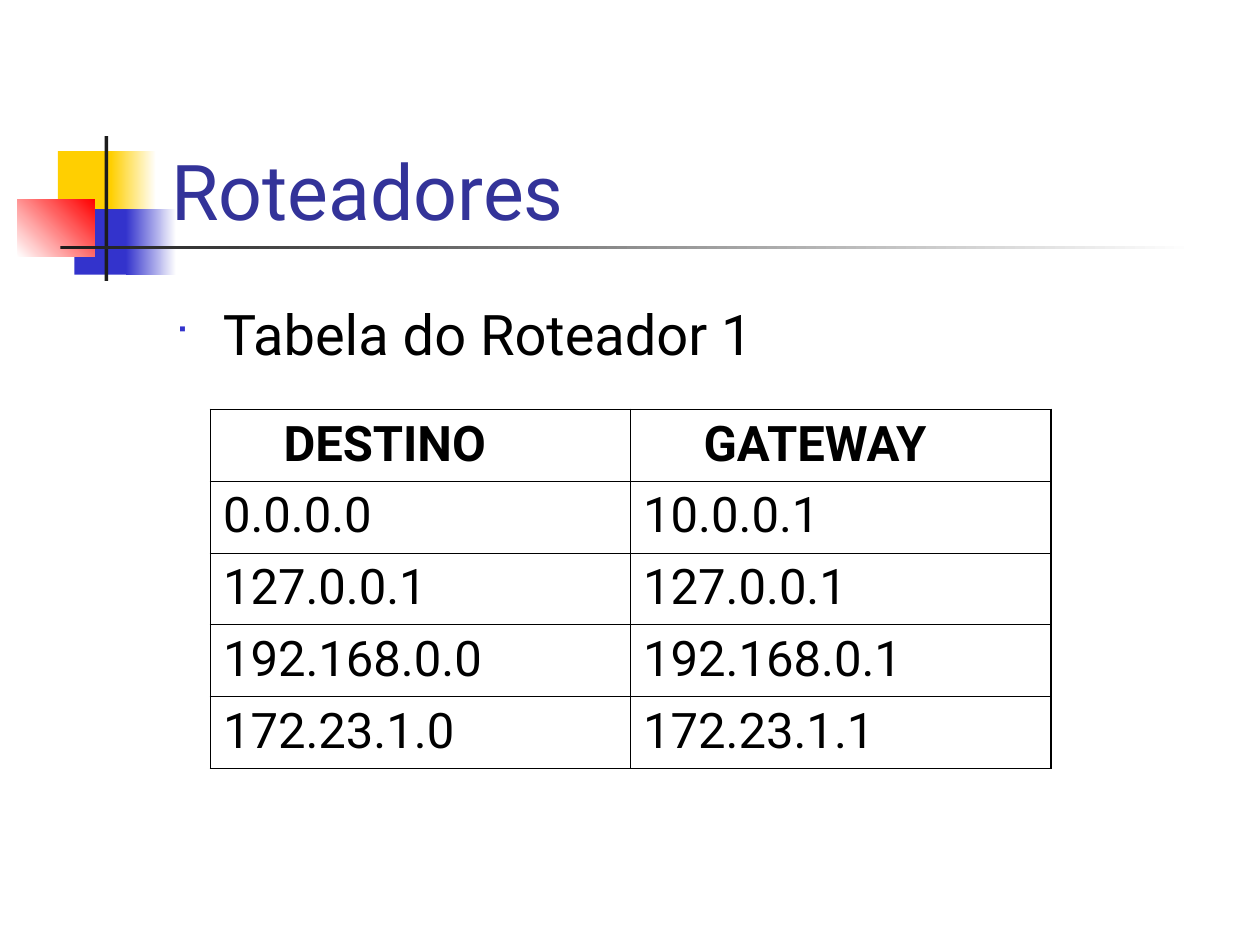
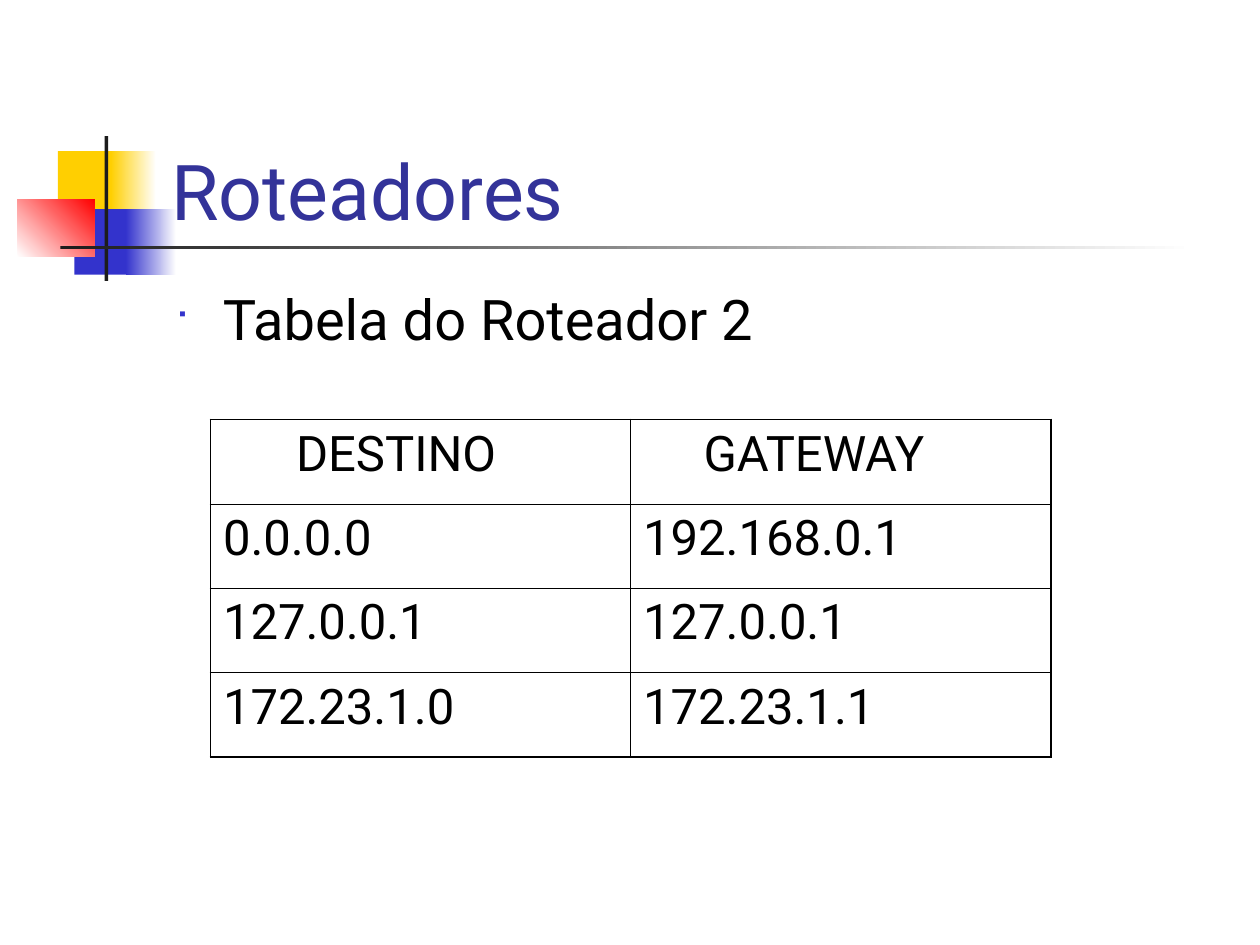
import pptx
import pptx.dml.color
import pptx.enum.shapes
import pptx.enum.text
import pptx.oxml
import pptx.oxml.ns
import pptx.util

# Shared style
FONT = "Roboto"
WHITE, BLACK, DARK = "FFFFFF", "000000", "1C1C1C"
YELLOW, BLUE, RED, TITLE_BLUE = "FFCF01", "3333CC", "FF0000", "333399"
TITLE_STYLE = {"size": pptx.util.Pt(44), "name": FONT, "bold": False}
BULLET_STYLE = {"size": pptx.util.Pt(32), "name": FONT, "bold": False}
CELL_STYLE = {"size": pptx.util.Pt(28), "name": FONT, "bold": False}
OUTER_LINE, INNER_LINE = pptx.util.Pt(1.08), pptx.util.Pt(0.45)

# The slide is a grid of 10 columns by 7.5 rows
WIDTH, HEIGHT = pptx.util.Inches(10), pptx.util.Inches(7.5)
COLUMN, ROW = WIDTH / 10, HEIGHT / 7.5

# Corner ornament: place in the grid, colours from first to last, angle
ORNAMENT = [
    ((0.46, 1.2, 0.48, 0.52), [YELLOW], 0),
    ((0.88, 1.2, 0.36, 0.52), [YELLOW, WHITE], 0),
    ((0.59, 1.66, 0.46, 0.52), [BLUE], 0),
    ((1, 1.66, 0.4, 0.52), [BLUE, WHITE], 0),
    ((0.14, 1.58, 0.61, 0.46), [WHITE, RED], 45),
    ((0.83, 1.08, 0.03, 1.15), [DARK], 0),
    ((0.48, 1.95, 9, 0.03), [DARK, WHITE], 0),
]


def color(code):
    return pptx.dml.color.RGBColor.from_string(code)


def place(left, top, width, height):
    return (round(left * COLUMN), round(top * ROW),
            round(width * COLUMN), round(height * ROW))


def apply_values(target, values):
    for name, value in values.items():
        setattr(target, name, value)


def write(para, text, style, code):
    span = para.add_run()
    span.text = text
    apply_values(span.font, style)
    span.font.color.rgb = color(code)


def add_ornament(page):
    for spot, codes, angle in ORNAMENT:
        block = page.shapes.add_shape(
            pptx.enum.shapes.MSO_SHAPE.RECTANGLE, *place(*spot))
        block.shadow.inherit = False
        block.line.fill.background()
        if len(codes) == 1:
            block.fill.solid()
            block.fill.fore_color.rgb = color(codes[0])
            continue
        block.fill.gradient()
        block.fill.gradient_angle = angle
        for stop, code in zip(block.fill.gradient_stops, codes):
            stop.color.rgb = color(code)


def add_title(page, text):
    title = page.shapes.title
    apply_values(title, dict(zip(("left", "top", "width", "height"),
                                 place(1.26, 0.67, 8.52, 1.25))))
    apply_values(title.text_frame, {
        "vertical_anchor": pptx.enum.text.MSO_ANCHOR.BOTTOM,
        "auto_size": pptx.enum.text.MSO_AUTO_SIZE.NONE,
        "word_wrap": True,
    })
    para = title.text_frame.paragraphs[0]
    para.alignment = pptx.enum.text.PP_ALIGN.LEFT
    write(para, text, TITLE_STYLE, TITLE_BLUE)
    # Bring the title in front of the ornament
    title.element.getparent().append(title.element)


def indent(para, left, first=0):
    properties = para._p.get_or_add_pPr()
    properties.set("marL", str(round(left * COLUMN)))
    properties.set("indent", str(round(first * COLUMN)))
    return properties


def add_bullet(page, text, top):
    box = page.shapes.add_textbox(*place(1.29, top, 8.5, 0.7))
    box.text_frame.word_wrap = True
    para = box.text_frame.paragraphs[0]
    properties = indent(para, 0.38, -0.38)
    space = pptx.oxml.ns.nsdecls("a")
    for mark in (
        f'<a:buClr {space}><a:srgbClr val="{BLUE}"/></a:buClr>',
        f'<a:buSzPct {space} val="60000"/>',
        f'<a:buFont {space} typeface="Wingdings" charset="2"/>',
        f'<a:buChar {space} char="■"/>',
    ):
        properties.append(pptx.oxml.parse_xml(mark))
    write(para, text, BULLET_STYLE, BLACK)


def set_borders(cell, outer_sides):
    properties = cell._tc.get_or_add_tcPr()
    for side in "LRTB":
        width = OUTER_LINE if side in outer_sides else INNER_LINE
        properties.append(pptx.oxml.parse_xml(
            f'<a:ln{side} {pptx.oxml.ns.nsdecls("a")} w="{width}">'
            f'<a:solidFill><a:srgbClr val="{BLACK}"/></a:solidFill>'
            f'</a:ln{side}>'))


def add_routes(page, routes, top, row_height, header_bold, header_indents):
    rows = [("DESTINO", "GATEWAY")] + routes
    last_row, last_column = len(rows) - 1, len(rows[0]) - 1
    table = page.shapes.add_table(
        len(rows), len(rows[0]),
        *place(1.67, top, 6.67, row_height * len(rows))).table
    apply_values(table, {"first_row": False, "horz_banding": False})
    for r, values in enumerate(rows):
        table.rows[r].height = round(row_height * ROW)
        for c, value in enumerate(values):
            cell = table.cell(r, c)
            edges = {"T": r == 0, "B": r == last_row,
                     "L": c == 0, "R": c == last_column}
            set_borders(cell, [side for side, outer in edges.items() if outer])
            cell.fill.solid()
            cell.fill.fore_color.rgb = color(WHITE)
            para = cell.text_frame.paragraphs[0]
            if r == 0:
                indent(para, header_indents[c])
            style = {**CELL_STYLE, "bold": header_bold and r == 0}
            write(para, value, style, BLACK)


def add_page(deck, title):
    page = deck.slides.add_slide(deck.slide_layouts.get_by_name("Title Only"))
    add_ornament(page)
    add_title(page, title)
    return page


def main():
    deck = pptx.Presentation()
    apply_values(deck, {"slide_width": WIDTH, "slide_height": HEIGHT})

    # Router 1
    page = add_page(deck, "Roteadores")
    add_bullet(page, "Tabela do Roteador 1", 2.33)
    add_routes(page, [
        ("0.0.0.0", "10.0.0.1"),
        ("127.0.0.1", "127.0.0.1"),
        ("192.168.0.0", "192.168.0.1"),
        ("172.23.1.0", "172.23.1.1"),
    ], 3.25, 0.57, True, (0.48, 0.48))

    # Router 2
    page = add_page(deck, "Roteadores")
    add_bullet(page, "Tabela do Roteador 2", 2.21)
    add_routes(page, [
        ("0.0.0.0", "192.168.0.1"),
        ("127.0.0.1", "127.0.0.1"),
        ("172.23.1.0", "172.23.1.1"),
    ], 3.33, 0.67, False, (0.58, 0.48))

    deck.save("out.pptx")


if __name__ == "__main__":
    main()
